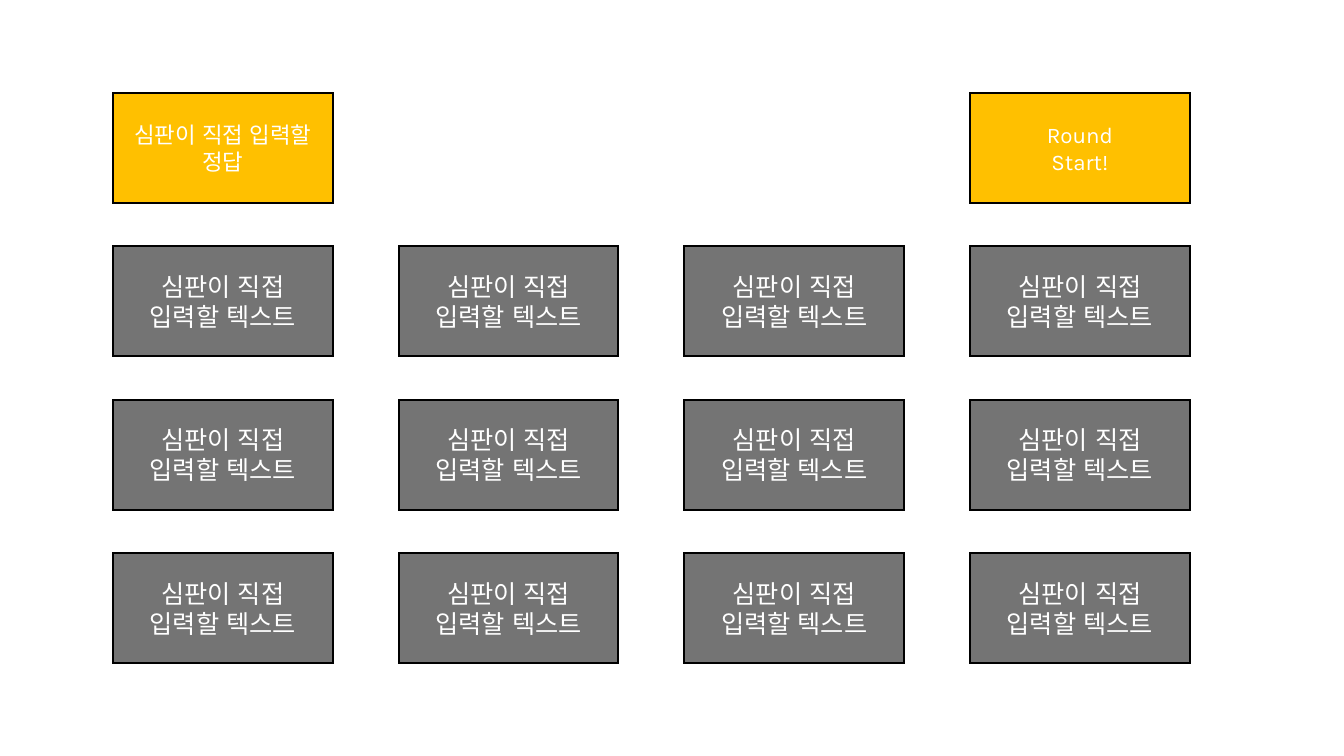
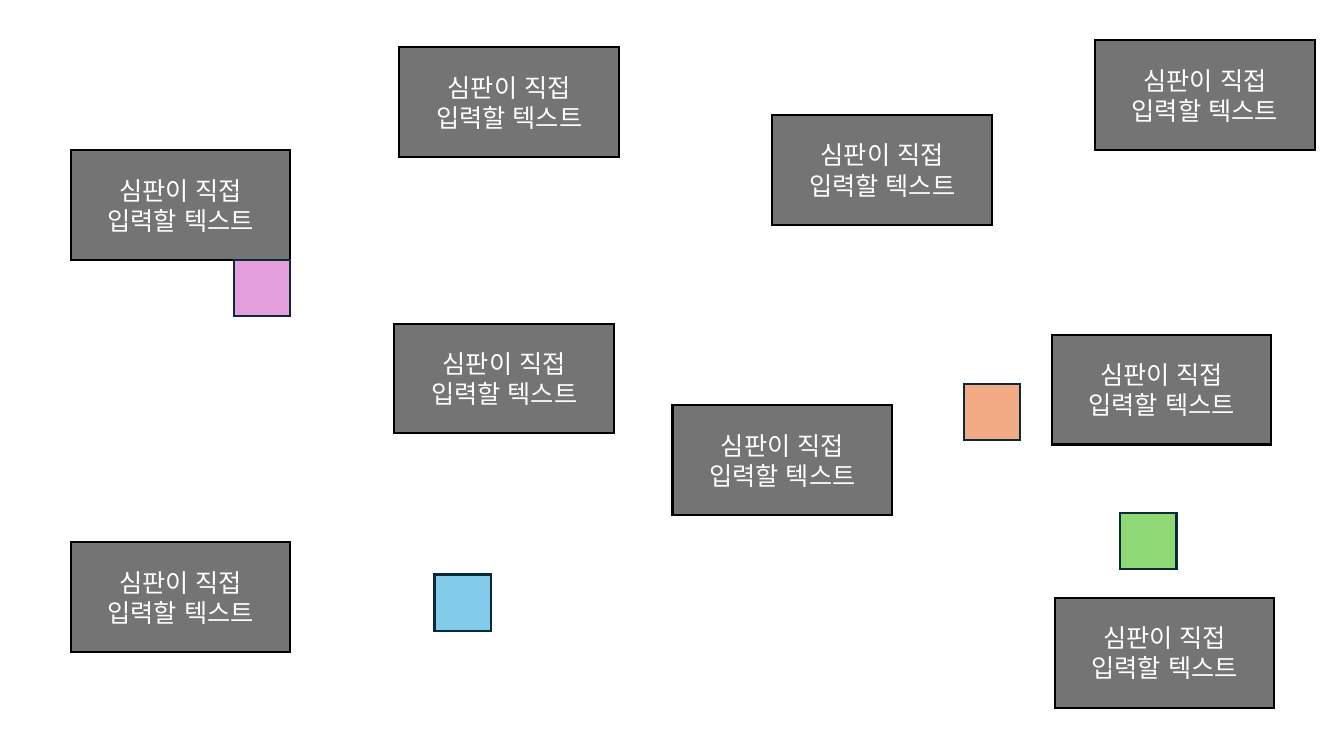
import lxml.etree
import pptx
import pptx.dml.color
import pptx.enum.lang
import pptx.enum.shapes
import pptx.enum.text
import pptx.oxml.ns
import pptx.util

RGBColor = pptx.dml.color.RGBColor
Inches = pptx.util.Inches

WHITE = RGBColor(0xFF, 0xFF, 0xFF)
BLACK = RGBColor(0x00, 0x00, 0x00)
GREY = RGBColor(0x74, 0x74, 0x74)
YELLOW = RGBColor(0xFF, 0xC0, 0x00)
NAVY = RGBColor(0x09, 0x2A, 0x39)
BLUE = RGBColor(0x83, 0xCB, 0xEB)
ORANGE = RGBColor(0xF2, 0xAA, 0x84)
GREEN = RGBColor(0x8E, 0xD9, 0x73)
PINK = RGBColor(0xE5, 0x9E, 0xDD)

FONT = "Karla"
SLIDE_SIZE = (13.33, 7.5)
CARD_SIZE = (2.18, 1.09)
CARD_MARGIN = 0.13
TOKEN_SIZE = (0.56, 0.56)

CARD_TEXT = "심판이 직접 입력할 텍스트"
ANSWER_TEXT = "심판이 직접 입력할 정답"
START_TEXT = "Round\nStart!"

COLUMNS, ROWS = 4, 4
GRID_LEFT, GRID_TOP = 1.12, 0.92
LAST_COLUMN_LEFT, LAST_ROW_TOP = 9.62, 5.49
COLUMN_STEP = (LAST_COLUMN_LEFT - GRID_LEFT) / (COLUMNS - 1)
ROW_STEP = (LAST_ROW_TOP - GRID_TOP) / (ROWS - 1)

SCATTERED_CARDS = [
    (0.7, 1.49), (3.91, 3.21), (7.66, 1.14),
    (10.43, 3.32), (0.7, 5.38), (10.46, 5.93),
    (6.67, 4.02), (3.96, 0.47), (10.86, 0.4),
]
TOKENS = [
    ((4.31, 5.7), BLUE),
    ((9.56, 3.81), ORANGE),
    ((11.11, 5.09), GREEN),
    ((2.32, 2.58), PINK),
]


def grid_position(column, row):
    return GRID_LEFT + column * COLUMN_STEP, GRID_TOP + row * ROW_STEP


def add_box(slide, position, size, fill, outline):
    shape = slide.shapes.add_shape(
        pptx.enum.shapes.MSO_SHAPE.RECTANGLE,
        *(Inches(length) for length in (*position, *size)))
    shape.shadow.inherit = False
    shape.fill.solid()
    shape.fill.fore_color.rgb = fill
    shape.line.color.rgb = outline
    shape.line.width = pptx.util.Pt(1.5)
    qualified = pptx.oxml.ns.qn
    line = shape.element.spPr.find(qualified("a:ln"))
    lxml.etree.SubElement(line, qualified("a:miter"), lim="800000")
    return shape


def add_card(slide, position, text=CARD_TEXT, fill=GREY, font_size=18):
    frame = add_box(slide, position, CARD_SIZE, fill, BLACK).text_frame
    frame.text = text
    frame.word_wrap = True
    frame.margin_left = frame.margin_right = Inches(CARD_MARGIN)
    frame.vertical_anchor = pptx.enum.text.MSO_ANCHOR.MIDDLE
    for paragraph in frame.paragraphs:
        paragraph.alignment = pptx.enum.text.PP_ALIGN.CENTER
        paragraph.font.name = FONT
        paragraph.font.size = pptx.util.Pt(font_size)
        paragraph.font.color.rgb = WHITE
        for run in paragraph.runs:
            run.font.language_id = pptx.enum.lang.MSO_LANGUAGE_ID.KOREAN


def add_round_board(slide):
    add_card(slide, grid_position(0, 0), ANSWER_TEXT, YELLOW, 16)
    for column in range(COLUMNS):
        for row in range(1, ROWS):
            add_card(slide, grid_position(column, row))
    add_card(slide, grid_position(COLUMNS - 1, 0), START_TEXT, YELLOW, 16)


def add_scattered_board(slide):
    for position in SCATTERED_CARDS:
        add_card(slide, position)
    for position, fill in TOKENS:
        add_box(slide, position, TOKEN_SIZE, fill, NAVY)


def main():
    presentation = pptx.Presentation()
    presentation.slide_width, presentation.slide_height = map(Inches, SLIDE_SIZE)
    blank_layout = presentation.slide_layouts[6]
    for build in (add_round_board, add_scattered_board):
        build(presentation.slides.add_slide(blank_layout))
    presentation.save("out.pptx")


if __name__ == "__main__":
    main()
